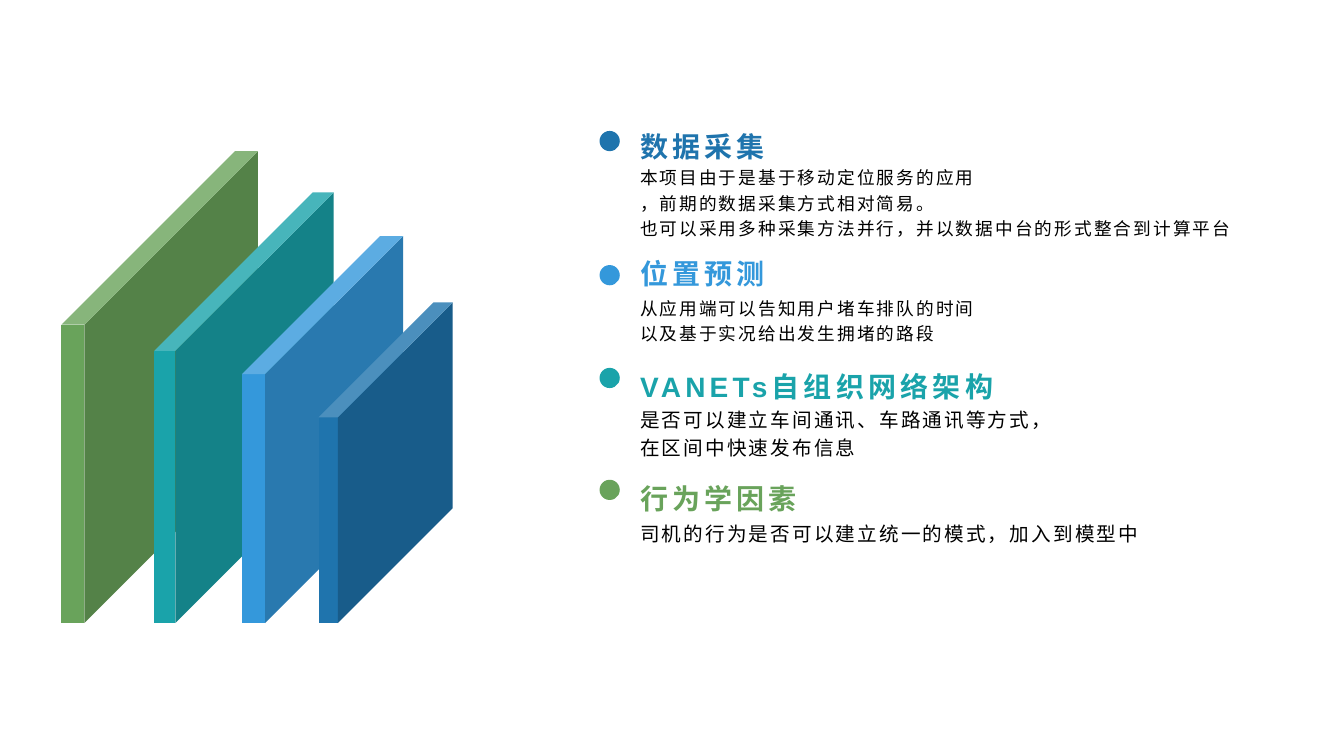
from lxml import etree
from pptx import Presentation
from pptx.dml.color import RGBColor
from pptx.enum.shapes import MSO_SHAPE
from pptx.enum.text import MSO_ANCHOR
from pptx.oxml.ns import qn
from pptx.util import Cm, Pt

FONT = "Arial"
COLORS = {"blue": "1F74AD", "sky": "3498DB", "teal": "1AA3AA",
          "green": "69A35B", "text": "000000"}
CUBE_BASE = 15.7
TEXT_LEFT, TEXT_WIDTH, HEADING_HEIGHT = 15.88, 17.07, 1.27
BULLET_LEFT, BULLET_SIZE = 15.11, 0.51

# Back to front: color, left, width, height, depth
CUBES = [
    ("green", 1.55, 4.95, 11.89, 0.883),
    ("teal", 3.89, 4.52, 10.85, 0.883),
    ("sky", 6.1, 4.06, 9.75, 0.857),
    ("blue", 8.03, 3.38, 8.08, 0.857),
]

# Color, bullet top, heading top, heading, body top, body height, body size, body lines
TOPICS = [
    ("blue", 3.3, 2.84, "数据采集", 4.11, 2.11, 12.6,
     ["本项目由于是基于移动定位服务的应用",
      "，前期的数据采集方式相对简易。",
      "也可以采用多种采集方法并行，并以数据中台的形式整合到计算平台"]),
    ("sky", 6.68, 6.05, "位置预测", 7.39, 1.5, 12.6,
     ["从应用端可以告知用户堵车排队的时间",
      "以及基于实况给出发生拥堵的路段"]),
    ("teal", 9.27, 8.89, "VANETs自组织网络架构", 10.16, 1.55, 14,
     ["是否可以建立车间通讯、车路通讯等方式，",
      "在区间中快速发布信息"]),
    ("green", 12.09, 11.71, "行为学因素", 13.03, 1.27, 14,
     ["司机的行为是否可以建立统一的模式，加入到模型中"]),
]


def add_solid(slide, kind, color, left, top, width, height):
    shape = slide.shapes.add_shape(kind, Cm(left), Cm(top), Cm(width), Cm(height))
    shape.shadow.inherit = False
    shape.fill.solid()
    shape.fill.fore_color.rgb = RGBColor.from_string(COLORS[color])
    shape.line.fill.background()
    return shape


def add_cube(slide, color, left, width, height, depth):
    cube = add_solid(slide, MSO_SHAPE.CUBE, color, left, CUBE_BASE - height,
                     width, height)
    cube.adjustments[0] = depth


def add_text(slide, lines, top, height, size, color, spacing, line_spacing,
             heading=False):
    box = slide.shapes.add_textbox(Cm(TEXT_LEFT), Cm(top), Cm(TEXT_WIDTH), Cm(height))
    frame = box.text_frame
    frame.word_wrap = True
    frame.vertical_anchor = MSO_ANCHOR.BOTTOM if heading else MSO_ANCHOR.TOP
    frame.margin_left = frame.margin_right = Cm(0.25)
    frame.margin_top = Cm(0.13 if heading else 0)
    frame.margin_bottom = Cm(0 if heading else 0.13)
    for i, line in enumerate(lines):
        paragraph = frame.paragraphs[0] if i == 0 else frame.add_paragraph()
        paragraph.line_spacing = line_spacing
        run = paragraph.add_run()
        run.text = line
        run.font.name = FONT
        run.font.size = Pt(size)
        run.font.bold = heading
        run.font.color.rgb = RGBColor.from_string(COLORS[color])
        # Letter spacing and East Asian font
        properties = run.font._element
        properties.set("spc", str(round(spacing * 100)))
        east_asian = etree.Element(qn("a:ea"), typeface=FONT)
        properties.find(qn("a:latin")).addnext(east_asian)


def add_topic(slide, color, bullet_top, heading_top, heading,
              body_top, body_height, body_size, body):
    add_solid(slide, MSO_SHAPE.OVAL, color, BULLET_LEFT, bullet_top,
              BULLET_SIZE, BULLET_SIZE)
    add_text(slide, [heading], heading_top, HEADING_HEIGHT, 20, color, 3, 1.3,
             heading=True)
    add_text(slide, body, body_top, body_height, body_size, "text", 1.5, 1.2)


def main():
    prs = Presentation()
    prs.slide_width, prs.slide_height = Cm(33.87), Cm(19.05)
    slide = prs.slides.add_slide(prs.slide_layouts[6])

    # Row of receding slabs
    for cube in CUBES:
        add_cube(slide, *cube)

    # Topics with colored bullets
    for topic in TOPICS:
        add_topic(slide, *topic)

    prs.save("out.pptx")


main()
